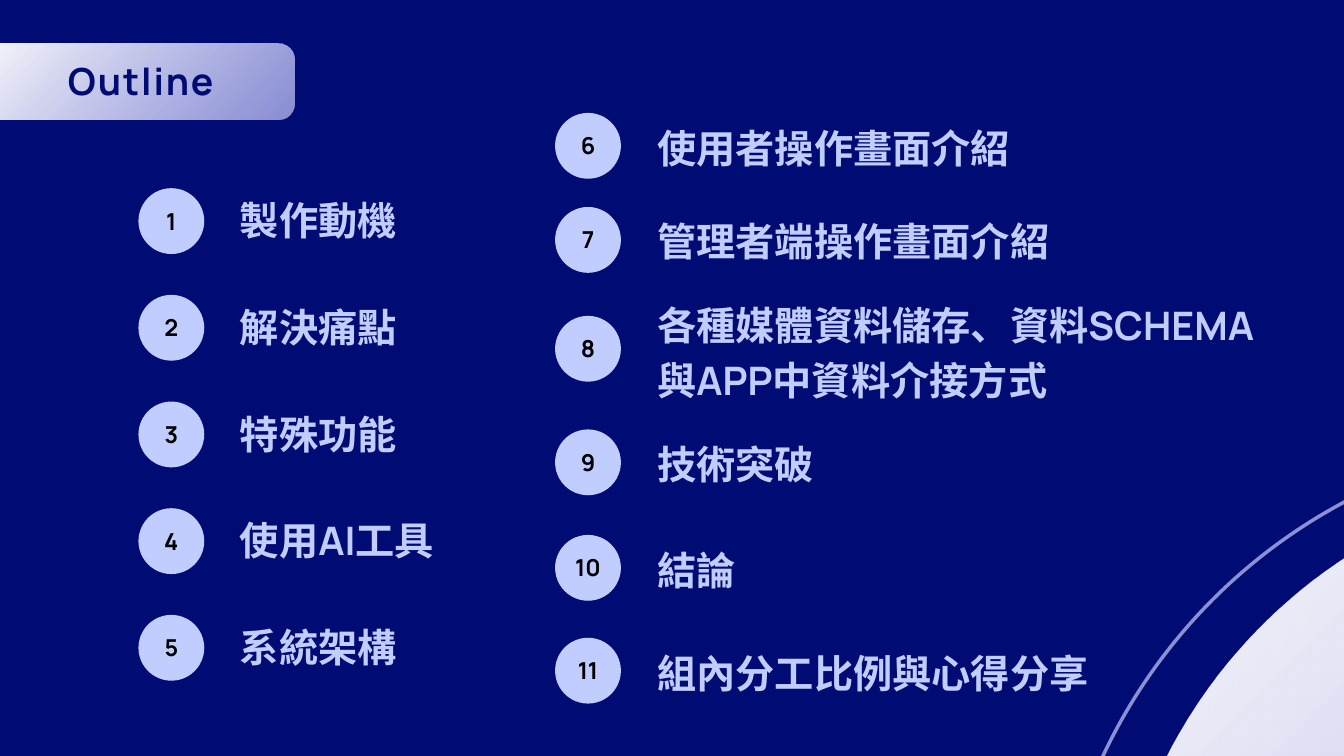
from dataclasses import dataclass

from pptx import Presentation
from pptx.dml.color import RGBColor
from pptx.enum.shapes import MSO_SHAPE
from pptx.enum.text import MSO_ANCHOR, PP_ALIGN
from pptx.oxml.ns import qn
from pptx.util import Inches, Pt

OVAL, ROUNDED = MSO_SHAPE.OVAL, MSO_SHAPE.ROUNDED_RECTANGLE
MIDDLE, TOP = MSO_ANCHOR.MIDDLE, MSO_ANCHOR.TOP
LEFT, CENTER = PP_ALIGN.LEFT, PP_ALIGN.CENTER


@dataclass(frozen=True)
class TextStyle:
    size: float
    leading: float
    color: RGBColor
    align: PP_ALIGN = LEFT
    tracking: float = 0


@dataclass(frozen=True)
class Theme:
    font = "Manrope"
    navy = RGBColor(0x00, 0x0C, 0x74)
    white = RGBColor(0xFF, 0xFF, 0xFF)
    lavender = RGBColor(0xC7, 0xC9, 0xFF)
    periwinkle = RGBColor(0xC2, 0xCD, 0xFF)
    opacity = 69
    title = TextStyle(40, 56.4, navy, CENTER, 2.1)
    item = TextStyle(42, 58.8, periwinkle)
    number = TextStyle(25, 35, RGBColor(0, 0, 0), CENTER)


@dataclass(frozen=True)
class Item:
    number: int
    text: str
    top: float
    width: float
    label_top: float
    label_height: float


THEME = Theme()
BADGE = 0.98
LEFT_X, RIGHT_X = 2.06, 8.26
LEFT_LABEL_X, RIGHT_LABEL_X = 3.57, 9.78
LEFT_TOP, LEFT_STEP = 2.8, 1.5875

LEFT_TEXTS = [("製作動機", 2.9), ("解決痛點", 2.69), ("特殊功能", 2.54),
              ("使用AI工具", 3.22), ("系統架構", 3.58)]
LEFT_ITEMS = [
    Item(i + 1, text, LEFT_TOP + i * LEFT_STEP, width,
         LEFT_TOP + i * LEFT_STEP + 0.01, 0.82)
    for i, (text, width) in enumerate(LEFT_TEXTS)
]
RIGHT_ITEMS = [
    Item(6, "使用者操作畫面介紹", 1.68, 6.95, 1.73, 0.79),
    Item(7, "管理者端操作畫面介紹", 3.08, 7.94, 3.12, 0.79),
    Item(8, "各種媒體資料儲存、資料SCHEMA與APP中資料介接方式", 4.7, 9.29, 4.37, 1.6),
    Item(9, "技術突破", 6.39, 3.58, 6.44, 0.79),
    Item(10, "結論", 7.96, 6.64, 8.01, 0.79),
    Item(11, "組內分工比例與心得分享", 9.49, 6.64, 9.54, 0.79),
]


def add_shape(slide, kind: MSO_SHAPE, x: float, y: float, w: float, h: float):
    """Add a preset shape with no shadow, fill or line."""
    sp = slide.shapes.add_shape(kind, Inches(x), Inches(y), Inches(w), Inches(h))
    sp.shadow.inherit = False
    sp.fill.background()
    sp.line.fill.background()
    return sp


def fade_lavender(sp) -> None:
    """Make every lavender colour of the shape partly transparent."""
    for color in sp.element.iter(qn("a:srgbClr")):
        if color.get("val") == str(THEME.lavender):
            alpha = color.makeelement(qn("a:alpha"), {"val": str(THEME.opacity * 1000)})
            color.append(alpha)


def fill_gradient(sp) -> None:
    sp.fill.gradient()
    sp.fill.gradient_angle = 315
    for stop, color in zip(sp.fill.gradient_stops, (THEME.white, THEME.lavender)):
        stop.color.rgb = color
    fade_lavender(sp)


def write(sp, text: str, style: TextStyle, anchor: MSO_ANCHOR = TOP) -> None:
    tf = sp.text_frame
    tf.word_wrap = True
    tf.vertical_anchor = anchor
    tf.margin_left = tf.margin_right = tf.margin_top = tf.margin_bottom = 0
    p = tf.paragraphs[0]
    p.text = text
    p.alignment = style.align
    p.line_spacing = Pt(style.leading)
    r = p.runs[0]
    r.font.name = THEME.font
    r.font.size = Pt(style.size)
    r.font.bold = True
    r.font.color.rgb = style.color
    props = r.font._element
    props.append(props.makeelement(qn("a:ea"), {"typeface": THEME.font}))
    if style.tracking:
        props.set("spc", str(round(style.tracking * 100)))


def add_label(slide, text: str, style: TextStyle,
              x: float, y: float, w: float, h: float) -> None:
    write(slide.shapes.add_textbox(Inches(x), Inches(y), Inches(w), Inches(h)), text, style)


def add_item(slide, item: Item, badge_x: float, label_x: float) -> None:
    badge = add_shape(slide, OVAL, badge_x, item.top, BADGE, BADGE)
    badge.fill.solid()
    badge.fill.fore_color.rgb = THEME.periwinkle
    write(badge, str(item.number), THEME.number, MIDDLE)
    badge.text_frame.margin_bottom = Inches(0.08)
    add_label(slide, item.text, THEME.item,
              label_x, item.label_top, item.width, item.label_height)


def add_decoration(slide) -> None:
    ring = add_shape(slide, OVAL, 15.63, 6.5, 16.52, 16.52)
    ring.line.color.rgb = THEME.lavender
    ring.line.width = Pt(3.75)
    fade_lavender(ring)
    fill_gradient(add_shape(slide, OVAL, 16.53, 7.05, 15.41, 15.41))


def add_title(slide) -> None:
    tab = add_shape(slide, ROUNDED, -0.57, 0.65, 4.96, 1.13)
    tab.adjustments[0] = 0.22
    fill_gradient(tab)
    add_label(slide, "Outline", THEME.title, 0.28, 0.75, 3.63, 0.8)


def main() -> None:
    prs = Presentation()
    prs.slide_width, prs.slide_height = Inches(20), Inches(11.25)
    s = prs.slides.add_slide(prs.slide_layouts[6])
    s.background.fill.solid()
    s.background.fill.fore_color.rgb = THEME.navy

    add_decoration(s)
    add_title(s)
    for item in LEFT_ITEMS:
        add_item(s, item, LEFT_X, LEFT_LABEL_X)
    for item in RIGHT_ITEMS:
        add_item(s, item, RIGHT_X, RIGHT_LABEL_X)

    prs.save("out.pptx")


if __name__ == "__main__":
    main()
